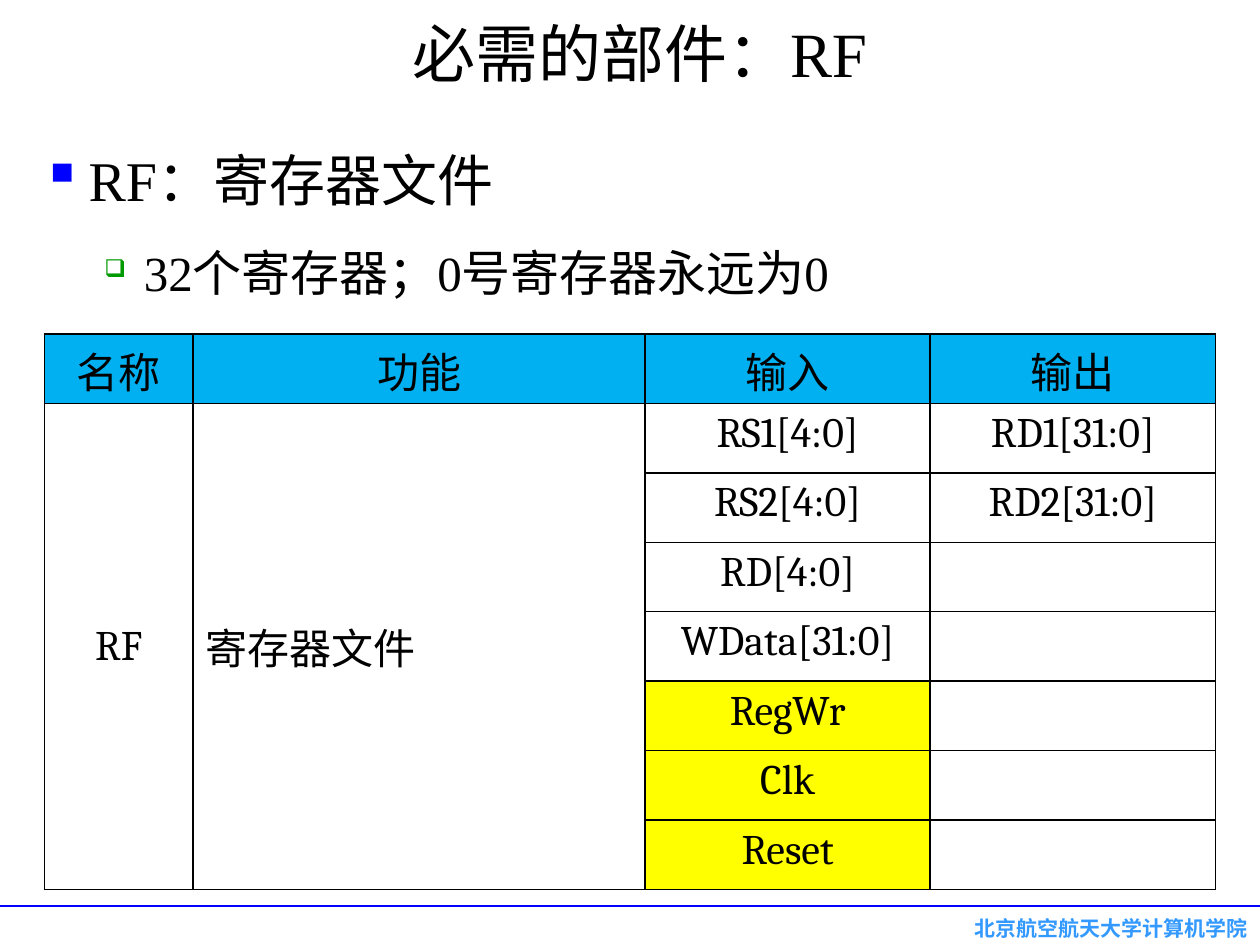
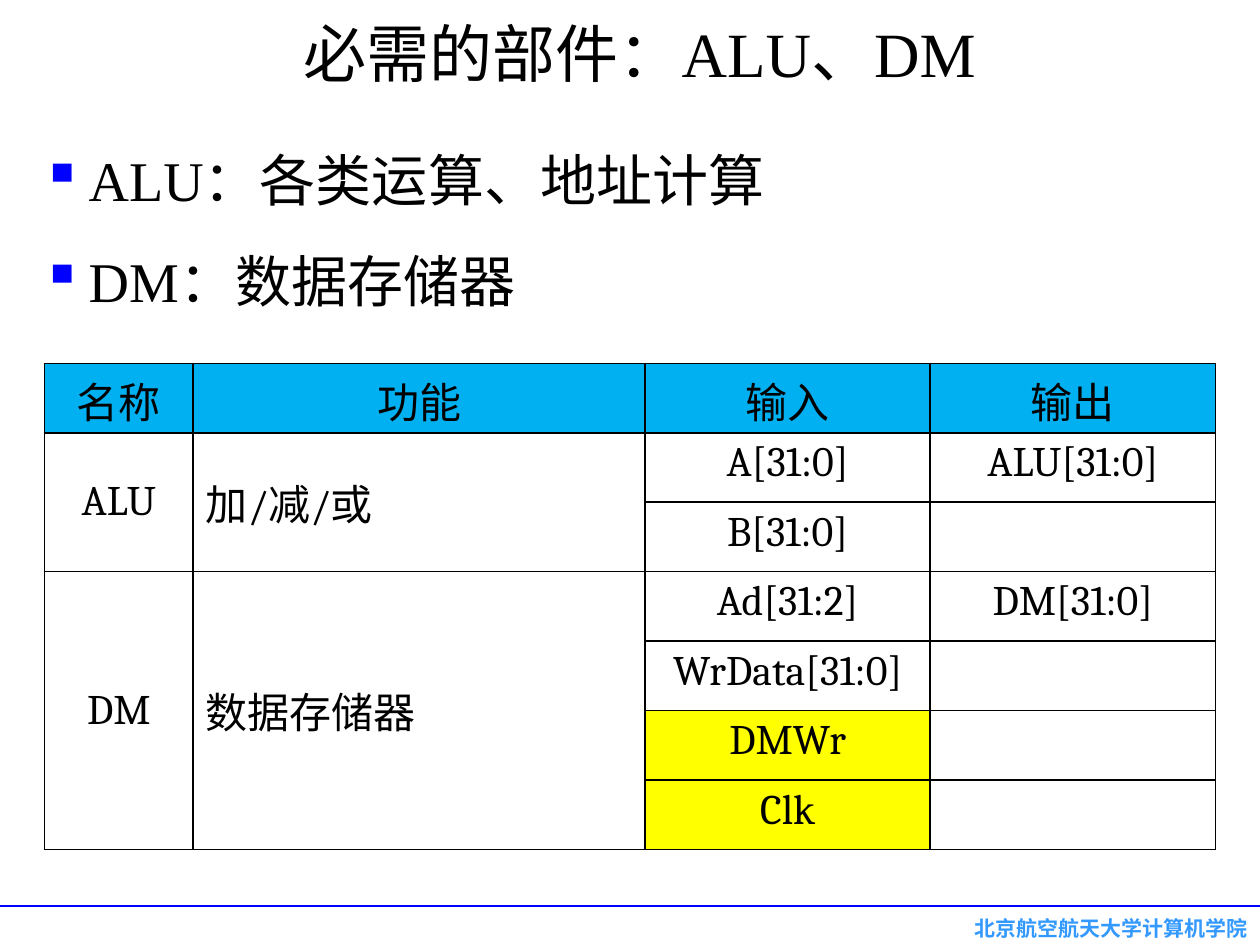
from lxml import etree
from pptx import Presentation
from pptx.dml.color import RGBColor
from pptx.enum.shapes import MSO_CONNECTOR
from pptx.enum.text import MSO_ANCHOR, PP_ALIGN
from pptx.oxml.ns import qn
from pptx.util import Pt

CENTER, RIGHT, JUSTIFY = PP_ALIGN.CENTER, PP_ALIGN.RIGHT, PP_ALIGN.JUSTIFY
TOP, MIDDLE = MSO_ANCHOR.TOP, MSO_ANCHOR.MIDDLE
STRAIGHT = MSO_CONNECTOR.STRAIGHT

SERIF, CODE, CJK = "Times New Roman", "Cambria", "Noto Sans CJK SC"
BLACK, BLUE, GREEN, FOOTER_BLUE = "000000", "0000FF", "009900", "3399FF"
HEADER_FILL, CONTROL_FILL = "00B0F0", "FFFF00"

FOOTER = "北京航空航天大学计算机学院"
HEADERS = ["名称", "功能", "输入", "输出"]
CONTROL_SIGNALS = {"RegWr", "Clk", "Reset", "DMWr"}
SLIDES = [
    {
        "title": "必需的部件：RF",
        "points": [(0, "RF：寄存器文件"), (1, "32个寄存器；0号寄存器永远为0")],
        "table_top": 190.8,
        "units": [
            ("RF", "寄存器文件",
             ["RS1[4:0]", "RS2[4:0]", "RD[4:0]", "WData[31:0]", "RegWr", "Clk", "Reset"],
             ["RD1[31:0]", "RD2[31:0]"]),
        ],
    },
    {
        "title": "必需的部件：ALU、DM",
        "points": [(0, "ALU：各类运算、地址计算"), (0, "DM：数据存储器")],
        "table_top": 207.6,
        "units": [
            ("ALU", "加/减/或", ["A[31:0]", "B[31:0]"], ["ALU[31:0]"]),
            ("DM", "数据存储器", ["Ad[31:2]", "WrData[31:0]", "DMWr", "Clk"], ["DM[31:0]"]),
        ],
    },
]

WIDTH, HEIGHT = 720, 540
TABLE_LEFT, ROW_HEIGHT = 25.4, 39.7
COLUMN_WIDTHS = [85, 258.2, 163, 163]
LEVELS = [
    {"size": 32, "margin": 27, "indent": -27, "bullet": "▪", "color": BLUE, "scale": 100},
    {"size": 28, "margin": 58.5, "indent": -22.5, "bullet": "❑", "color": GREEN, "scale": 50},
]


def rgb(color):
    return RGBColor.from_string(color)


def write(paragraph, text, size, font=SERIF, color=BLACK, bold=False, align=None):
    paragraph.text = text
    paragraph.alignment = align
    for run in paragraph.runs:
        run.font.size, run.font.name, run.font.bold = Pt(size), font, bold
        run.font.color.rgb = rgb(color)
        etree.SubElement(run.font._element, qn("a:ea"), typeface=CJK)


def add_frame(slide, left, top, width, height, anchor=TOP):
    frame = slide.shapes.add_textbox(Pt(left), Pt(top), Pt(width), Pt(height)).text_frame
    frame.word_wrap = True
    frame.vertical_anchor = anchor
    return frame


def add_bullet(paragraph, level):
    paragraph.line_spacing = 1.5
    properties = paragraph._p.get_or_add_pPr()
    properties.set("marL", str(Pt(level["margin"])))
    properties.set("indent", str(Pt(level["indent"])))
    color = etree.SubElement(properties, qn("a:buClr"))
    etree.SubElement(color, qn("a:srgbClr"), val=level["color"])
    etree.SubElement(properties, qn("a:buSzPct"), val=str(level["scale"] * 1000))
    etree.SubElement(properties, qn("a:buChar"), char=level["bullet"])


def add_footer(slide):
    frame = add_frame(slide, 326.2, 523.4, 393.8, 14.4)
    frame.margin_top = frame.margin_bottom = 0
    write(frame.paragraphs[0], FOOTER, 12, CJK, FOOTER_BLUE, True, RIGHT)
    rule = slide.shapes.add_connector(STRAIGHT, Pt(WIDTH), Pt(517.7), Pt(0), Pt(517.7))
    rule.line.color.rgb = rgb(BLUE)
    rule.line.width = Pt(1.5)
    etree.SubElement(rule._element.spPr, qn("a:effectLst"))


def add_points(slide, points):
    frame = add_frame(slide, 16.6, 60.5, 686.2, 447.8)
    for index, (depth, text) in enumerate(points):
        paragraph = frame.add_paragraph() if index else frame.paragraphs[0]
        write(paragraph, text, LEVELS[depth]["size"])
        add_bullet(paragraph, LEVELS[depth])


def style_cell(cell, fill=None):
    properties = cell._tc.get_or_add_tcPr()
    for side in ("a:lnL", "a:lnR", "a:lnT", "a:lnB"):
        border = etree.SubElement(properties, qn(side), w=str(Pt(1)))
        solid = etree.SubElement(border, qn("a:solidFill"))
        etree.SubElement(solid, qn("a:srgbClr"), val=BLACK)
    if fill:
        cell.fill.solid()
        cell.fill.fore_color.rgb = rgb(fill)
    else:
        cell.fill.background()


def fill_cell(cell, text, font=CODE, align=CENTER, anchor=TOP):
    write(cell.text_frame.paragraphs[0], text, 24, font, align=align)
    cell.vertical_anchor = anchor


def add_units(slide, units, top):
    row_count = 1 + sum(len(inputs) for _, _, inputs, _ in units)
    table = slide.shapes.add_table(
        row_count, len(HEADERS), Pt(TABLE_LEFT), Pt(top),
        Pt(sum(COLUMN_WIDTHS)), Pt(row_count * ROW_HEIGHT)).table
    table.first_row = table.horz_banding = False
    for column, width in zip(table.columns, COLUMN_WIDTHS):
        column.width = Pt(width)
    for row in table.rows:
        row.height = Pt(ROW_HEIGHT)

    for column, header in enumerate(HEADERS):
        fill_cell(table.cell(0, column), header, SERIF)
    first = 1
    for name, function, inputs, outputs in units:
        last = first + len(inputs) - 1
        for column, text, align in ((0, name, CENTER), (1, function, JUSTIFY)):
            fill_cell(table.cell(first, column), text, align=align, anchor=MIDDLE)
            table.cell(first, column).merge(table.cell(last, column))
        for column, signals in ((2, inputs), (3, outputs)):
            for row, signal in enumerate(signals, first):
                fill_cell(table.cell(row, column), signal)
        first = last + 1

    for row in range(row_count):
        for column in range(len(HEADERS)):
            cell = table.cell(row, column)
            control = CONTROL_FILL if cell.text_frame.text in CONTROL_SIGNALS else None
            style_cell(cell, control if row else HEADER_FILL)


def main():
    """Build the slides on the required datapath parts."""
    deck = Presentation()
    deck.slide_width, deck.slide_height = Pt(WIDTH), Pt(HEIGHT)
    for content in SLIDES:
        slide = deck.slides.add_slide(deck.slide_layouts[6])
        add_footer(slide)
        title = add_frame(slide, 16.6, 3.6, 697.7, 52.6, MIDDLE)
        write(title.paragraphs[0], content["title"], 36, align=CENTER)
        add_points(slide, content["points"])
        add_units(slide, content["units"], content["table_top"])
    deck.save("out.pptx")


if __name__ == "__main__":
    main()
